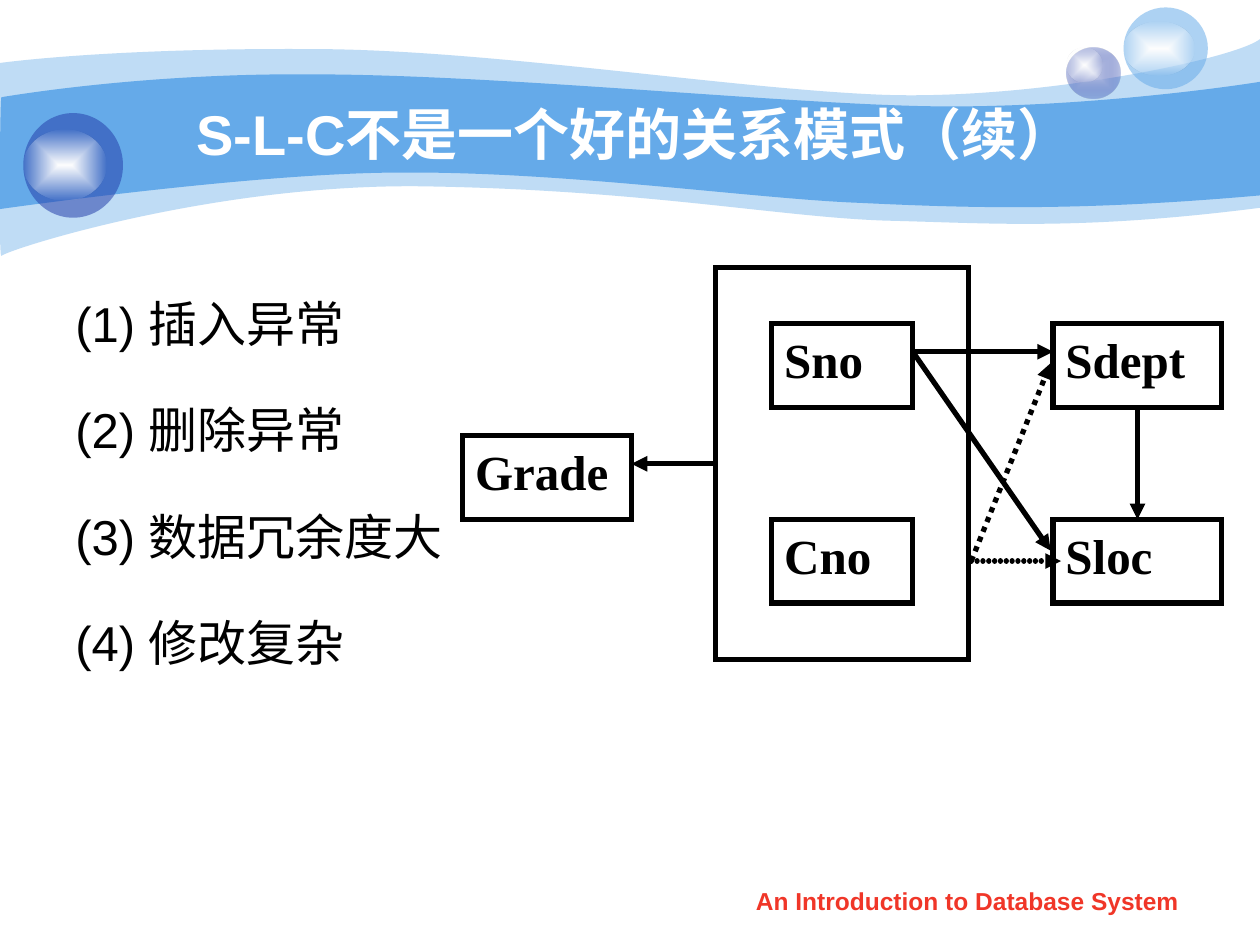
from lxml import etree
from pptx import Presentation
from pptx.dml.color import RGBColor
from pptx.enum import dml, shapes, text
from pptx.oxml import ns
from pptx.util import Cm, Pt

BLUE, NAVY, WHITE, BLACK = "65AAE9", "233DA9", "FFFFFF", "000000"


def tint(color, code, alpha=100):
    color.rgb = RGBColor.from_string(code)
    if alpha < 100:
        node = etree.SubElement(color._xFill[0], ns.qn("a:alpha"))
        node.set("val", str(alpha * 1000))


def write(shape, words, size=28, font="Arial", color=BLACK, bold=False,
          align=text.PP_ALIGN.LEFT, anchor=text.MSO_ANCHOR.TOP,
          lead=None, before=0, hang=0):
    frame = shape.text_frame
    frame.word_wrap = True
    frame.auto_size = text.MSO_AUTO_SIZE.NONE
    frame.vertical_anchor = anchor
    frame.text = words
    for i, para in enumerate(frame.paragraphs):
        para.alignment = align
        if lead:
            para.line_spacing = lead
        para.space_before = Pt(before if i else 0)
        if hang:
            props = para._p.get_or_add_pPr()
            props.set("marL", str(Cm(hang)))
            props.set("indent", str(-Cm(hang)))
        for run in para.runs:
            run.font.name, run.font.size, run.font.bold = font, Pt(size), bold
            tint(run.font.color, color)


deck = Presentation()
deck.slide_width, deck.slide_height = Cm(25.4), Cm(19.05)
slide = deck.slides.add_slide(deck.slide_layouts[5])
tree = slide.shapes

# Banner waves: a start point, then segments of one point (line) or three (curve)
pale = [[(0, 1.27)],
        [(0.61, 1.19), (2.72, 0.97), (6.27, 0.99)],
        [(9.8, 0.99), (14.61, 1.78), (17.75, 1.91)],
        [(20.88, 2.03), (24.89, 1.19), (25.4, 0.79)],
        [(25.4, 4.19)],
        [(21.79, 4.65), (19.99, 4.5), (17.91, 4.45)],
        [(15.8, 4.39), (13.08, 3.84), (8.71, 3.76)],
        [(4.37, 3.66), (0.1, 5.05), (0.03, 5.16)],
        [(-0.03, 5.28), (0, 1.91), (0, 1.27)]]
deep = [[(0.03, 1.96)],
        [(0.05, 1.96), (2.79, 1.47), (6.3, 1.5)],
        [(9.8, 1.5), (15.11, 2.03), (18.24, 2.13)],
        [(21.36, 2.24), (24.79, 1.75), (25.4, 1.65)],
        [(25.4, 3.94)],
        [(21.67, 4.27), (19.43, 4.19), (17.32, 4.09)],
        [(15.21, 4.01), (11.35, 3.45), (8.05, 3.48)],
        [(5.16, 3.48), (-0.05, 4.22), (-0.03, 4.22)],
        [(0, 4.22), (0, 1.96), (0.03, 1.96)]]
for parts, alpha in ((pale, 41), (deep, 100)):
    dots = [(Cm(x), Cm(y)) for part in parts for x, y in part]
    pen = tree.build_freeform(*dots[0])
    pen.add_line_segments(dots[1:], close=True)
    wave = pen.convert_to_shape()
    steps = iter(list(wave._element.iter(ns.qn("a:lnTo"))))
    for part in parts[1:]:
        first, *rest = [next(steps) for _ in part]
        if rest:
            first.tag = ns.qn("a:cubicBezTo")
            for step in rest:
                first.append(step[0])
                step.getparent().remove(step)
    wave.shadow.inherit = False
    wave.fill.solid()
    tint(wave.fill.fore_color, BLUE, alpha)
    wave.line.fill.background()

# Glass balls, each with a highlight; two stops make a gradient from the centre
shine = ((WHITE, 100), (WHITE, 0))
balls = [((21.51, 0.97, 1.07, 1.02), (("C7CEE9", 100), (NAVY, 31))),
         ((21.51, 0.97, 0.71, 0.69), shine),
         ((22.65, 0.15, 1.7, 1.65), ((BLUE, 53),)),
         ((22.65, 0.43, 1.42, 1.09), shine),
         ((0.47, 2.28, 2.01, 2.11), ((NAVY, 53),)),
         ((0.47, 2.62, 1.68, 1.42), shine)]
for place, tones in balls:
    ball = tree.add_shape(shapes.MSO_SHAPE.OVAL, *map(Cm, place))
    ball.shadow.inherit = False
    ball.line.fill.background()
    if len(tones) == 1:
        ball.fill.solid()
        tint(ball.fill.fore_color, *tones[0])
        continue
    ball.fill.gradient()
    for stop, tone in zip(ball.fill.gradient_stops, tones):
        tint(stop.color, *tone)
    grad = ball._element.spPr.find(ns.qn("a:gradFill"))
    grad.remove(grad.find(ns.qn("a:lin")))
    focus = etree.SubElement(grad, ns.qn("a:path"), path="rect")
    etree.SubElement(focus, ns.qn("a:fillToRect"),
                     {side: "50000" for side in "ltrb"})

# Footer
foot = tree.add_textbox(Cm(14.5), Cm(17.73), Cm(10.01), Cm(0.89))
write(foot, "An Introduction to Database System", size=14, color="F03628",
      bold=True, align=text.PP_ALIGN.CENTER)

# Title, brought in front of the banner
title = tree.title
title.left, title.top, title.width, title.height = map(Cm, (2.55, 1.9, 20.52, 1.58))
write(title, "S-L-C不是一个好的关系模式（续）", size=32, color=WHITE, bold=True,
      align=text.PP_ALIGN.CENTER, anchor=text.MSO_ANCHOR.MIDDLE)
tree._spTree.append(title._element)

# List of problems
body = tree.add_textbox(Cm(1.27), Cm(5.08), Cm(22.86), Cm(12.5))
write(body, "(1) 插入异常\n(2) 删除异常\n(3) 数据冗余度大\n(4) 修改复杂",
      lead=1.6, before=7, hang=0.95)

# Dependency boxes, the key frame first
boxes = [("", 14.43, 5.39, 5.1, 7.9),
         ("Sno", 15.56, 6.52, 2.84, 1.69),
         ("Cno", 15.56, 10.47, 2.84, 1.69),
         ("Grade", 9.33, 8.78, 3.4, 1.69),
         ("Sdept", 21.23, 6.52, 3.4, 1.69),
         ("Sloc", 21.23, 10.47, 3.4, 1.69)]
for name, *place in boxes:
    box = tree.add_shape(shapes.MSO_SHAPE.RECTANGLE, *map(Cm, place))
    box.shadow.inherit = False
    box.fill.background()
    tint(box.line.color, BLACK)
    box.line.width = Pt(3)
    etree.SubElement(box.line._get_or_add_ln(), ns.qn("a:miter"), lim="800000")
    if name:
        write(box, name, font="Times New Roman", bold=True,
              align=text.PP_ALIGN.JUSTIFY)

# Dependency arrows; dotted ones are partial dependencies
arrows = [(14.43, 9.35, 12.73, 9.35, ""),
          (18.4, 7.09, 21.23, 7.09, ""),
          (18.4, 7.09, 21.18, 11.1, ""),
          (19.58, 11.31, 21.18, 7.32, "square"),
          (19.58, 11.31, 21.39, 11.31, "round"),
          (22.93, 8.21, 22.93, 10.47, "")]
for *ends, dots in arrows:
    arrow = tree.add_connector(shapes.MSO_CONNECTOR.STRAIGHT, *map(Cm, ends))
    tint(arrow.line.color, BLACK)
    arrow.line.width = Pt(3)
    line = arrow.line._get_or_add_ln()
    if dots == "square":
        arrow.line.dash_style = dml.MSO_LINE.ROUND_DOT
    elif dots == "round":
        line.set("cap", "rnd")
        dash = etree.SubElement(line, ns.qn("a:custDash"))
        etree.SubElement(dash, ns.qn("a:ds"), d="1000", sp="110000")
    etree.SubElement(line, ns.qn("a:tailEnd"), type="triangle")
    etree.SubElement(arrow._element.spPr, ns.qn("a:effectLst"))

deck.save("out.pptx")
